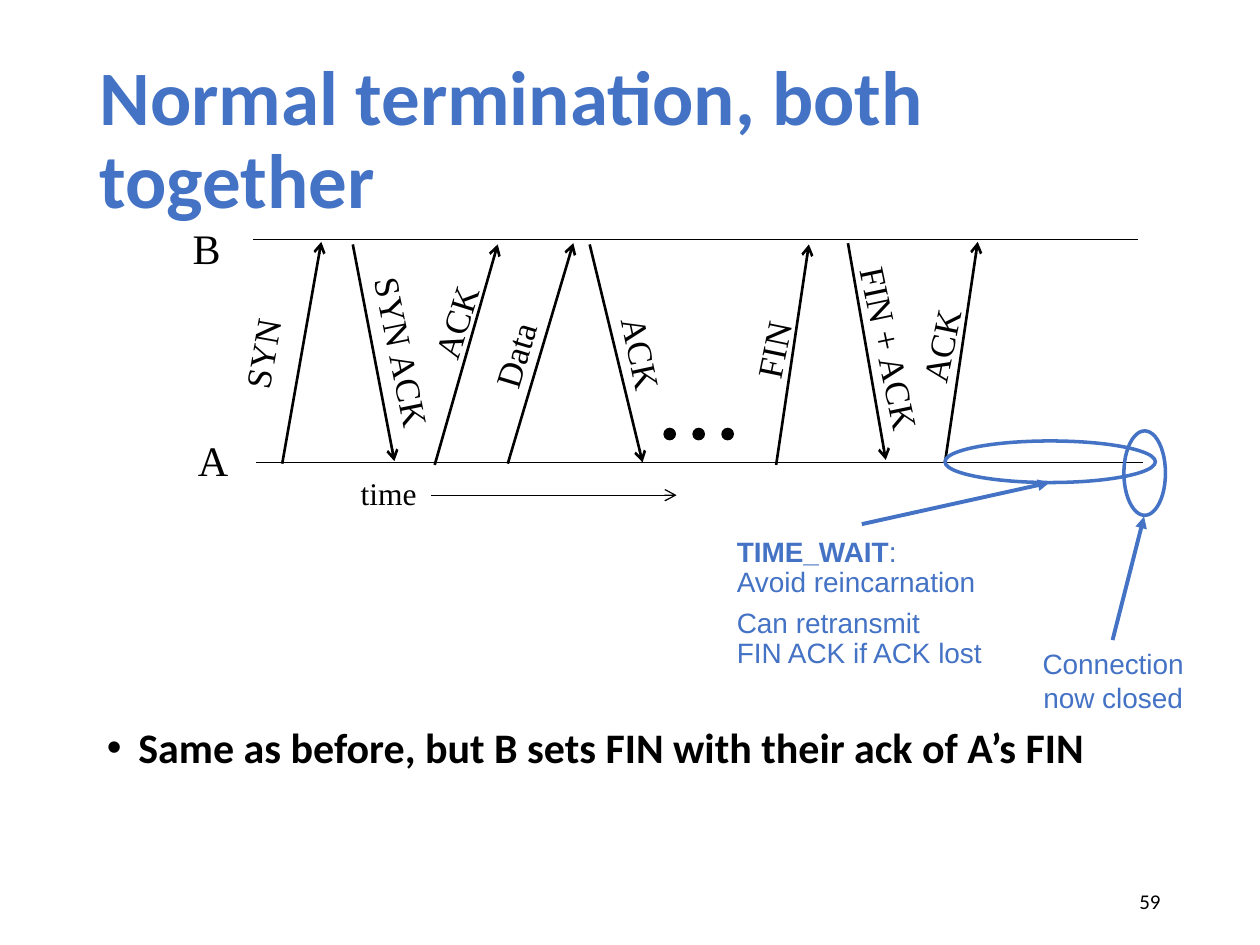
from lxml.etree import SubElement
from pptx import Presentation
from pptx.dml.color import RGBColor
from pptx.enum.shapes import MSO_CONNECTOR, MSO_SHAPE
from pptx.enum.text import MSO_ANCHOR, MSO_AUTO_SIZE, PP_ALIGN
from pptx.oxml.ns import qn
from pptx.util import Inches, Pt

BLUE = RGBColor(0x44, 0x72, 0xC4)
BLACK = RGBColor(0, 0, 0)
SERIF = "Times New Roman"

# Segments: arrow start x, y, end x, y; label, its left, top, width, rotation
SEGMENTS = [
    (2.24, 3.68, 2.55, 1.92, "SYN", 1.7, 2.59, 0.76, 280.1),
    (2.8, 1.94, 3.13, 3.66, "SYN ACK", 2.49, 2.58, 1.41, 78.5),
    (3.45, 3.69, 3.95, 1.94, "ACK", 3.22, 2.34, 0.79, 287.4),
    (4.03, 3.68, 4.55, 1.93, "Data", 3.72, 2.6, 0.73, 286.7),
    (4.68, 1.94, 5.1, 3.67, "ACK", 4.7, 2.59, 0.79, 77.9),
    (6.16, 3.69, 6.42, 1.94, "FIN", 5.81, 2.56, 0.65, 281.6),
    (6.73, 1.93, 7.03, 3.65, "FIN + ACK", 6.3, 2.55, 1.53, 78.1),
    (7.5, 3.67, 7.76, 1.92, "ACK", 7.07, 2.53, 0.79, 281.6),
]


def add_line(s, x1, y1, x2, y2, color=BLACK, width=0.75, head=None):
    line = s.shapes.add_connector(
        MSO_CONNECTOR.STRAIGHT, Inches(x1), Inches(y1), Inches(x2), Inches(y2))
    line.line.color.rgb = color
    line.line.width = Pt(width)
    if head:
        SubElement(line.line._get_or_add_ln(), qn("a:tailEnd"), type=head)
    SubElement(line._element.spPr, qn("a:effectLst"))


def add_ellipse(s, x, y, w, h, color, width, filled=False):
    sp = s.shapes.add_shape(
        MSO_SHAPE.OVAL, Inches(x), Inches(y), Inches(w), Inches(h))
    sp.shadow.inherit = False
    if filled:
        sp.fill.solid()
        sp.fill.fore_color.rgb = color
    else:
        sp.fill.background()
    sp.line.color.rgb = color
    sp.line.width = Pt(width)


def style(font, name, size, color, bold=False):
    font.name = name
    font.size = Pt(size)
    font.color.rgb = color
    font.bold = bold


def add_text(s, x, y, w, h, paragraphs, name, size, color=BLACK, bold=False,
             align=PP_ALIGN.LEFT, anchor=MSO_ANCHOR.MIDDLE, wrap=True):
    tb = s.shapes.add_textbox(Inches(x), Inches(y), Inches(w), Inches(h))
    tf = tb.text_frame
    tf.word_wrap = wrap
    tf.auto_size = MSO_AUTO_SIZE.NONE if wrap else MSO_AUTO_SIZE.SHAPE_TO_FIT_TEXT
    tf.vertical_anchor = anchor
    for i, text in enumerate(paragraphs):
        p = tf.paragraphs[0] if i == 0 else tf.add_paragraph()
        p.text = text
        p.alignment = align
        for r in p.runs:
            style(r.font, name, size, color, bold)
    return tb


def add_label(s, x, y, w, h, text, size, rotation=0):
    tb = add_text(s, x, y, w, h, [text], SERIF, size,
                  align=PP_ALIGN.CENTER, wrap=False)
    tb.rotation = rotation


def add_title(s):
    tb = add_text(s, 0.69, 0.4, 8.62, 1.45, ["Normal termination, both together"],
                  "Calibri", 44, BLUE, bold=True)
    tb.text_frame.paragraphs[0].line_spacing = 0.9


def add_bullet(s):
    tb = add_text(s, 0.75, 5.72, 8.67, 0.86,
                  ["Same as before, but B sets FIN with their ack of A’s FIN"],
                  "Calibri", 24, bold=True, anchor=MSO_ANCHOR.TOP)
    p = tb.text_frame.paragraphs[0]
    pPr = p._p.get_or_add_pPr()
    pPr.set("marL", str(Inches(0.25)))
    pPr.set("indent", str(Inches(-0.25)))
    SubElement(pPr, qn("a:buFont"), typeface="Arial")
    SubElement(pPr, qn("a:buChar"), char="•")
    p.line_spacing = 0.9


def add_timeline(s):
    add_line(s, 2.01, 1.9, 9.03, 1.9)
    add_line(s, 2.03, 3.67, 9.07, 3.67)
    add_label(s, 1.43, 1.72, 0.42, 0.5, "B", 24)
    add_label(s, 1.47, 3.4, 0.44, 0.5, "A", 24)
    add_label(s, 2.76, 3.71, 0.65, 0.4, "time", 18)
    add_line(s, 3.42, 3.93, 5.37, 3.93, head="arrow")
    for x1, y1, x2, y2, text, x, y, w, rotation in SEGMENTS:
        add_line(s, x1, y1, x2, y2, width=1.5, head="arrow")
        add_label(s, x, y, w, 0.43, text, 20, rotation)
    for i in range(3):
        add_ellipse(s, 5.27 + 0.23 * i, 3.4, 0.09, 0.09, BLACK, 0.75, filled=True)


def add_closed_note(s):
    add_line(s, 8.83, 5.08, 9.08, 4.1, BLUE, 2.25, "triangle")
    add_ellipse(s, 8.92, 3.42, 0.33, 0.67, BLUE, 2)
    add_text(s, 8.17, 5.08, 1.33, 0.64, ["Connection\nnow closed"], "Arial", 16,
             BLUE, align=PP_ALIGN.CENTER, wrap=False)


def add_wait_note(s):
    add_line(s, 6.84, 4.16, 8.33, 3.83, BLUE, 2.25, "triangle")
    add_ellipse(s, 7.5, 3.5, 1.67, 0.33, BLUE, 2)
    tb = add_text(s, 5.75, 4.16, 2.17, 1.24,
                  ["TIME_WAIT", "Avoid reincarnation",
                   "Can retransmit\nFIN ACK if ACK lost"],
                  "Arial", 16, BLUE, wrap=False)
    heading, *details = tb.text_frame.paragraphs
    heading.runs[0].font.bold = True
    r = heading.add_run()
    r.text = ":"
    style(r.font, "Arial", 16, BLUE)
    for p, spacing in zip(details, (0.4, 0.9)):
        p.line_spacing = spacing
        p.space_before = Pt(8)


def main():
    prs = Presentation()
    prs.slide_width, prs.slide_height = Inches(10), Inches(7.5)
    s = prs.slides.add_slide(prs.slide_layouts[6])
    add_title(s)
    add_bullet(s)
    add_timeline(s)
    add_closed_note(s)
    add_wait_note(s)
    add_text(s, 7.06, 6.95, 2.25, 0.4, ["59"], "Calibri", 12, align=PP_ALIGN.RIGHT)
    prs.save("out.pptx")


if __name__ == "__main__":
    main()
